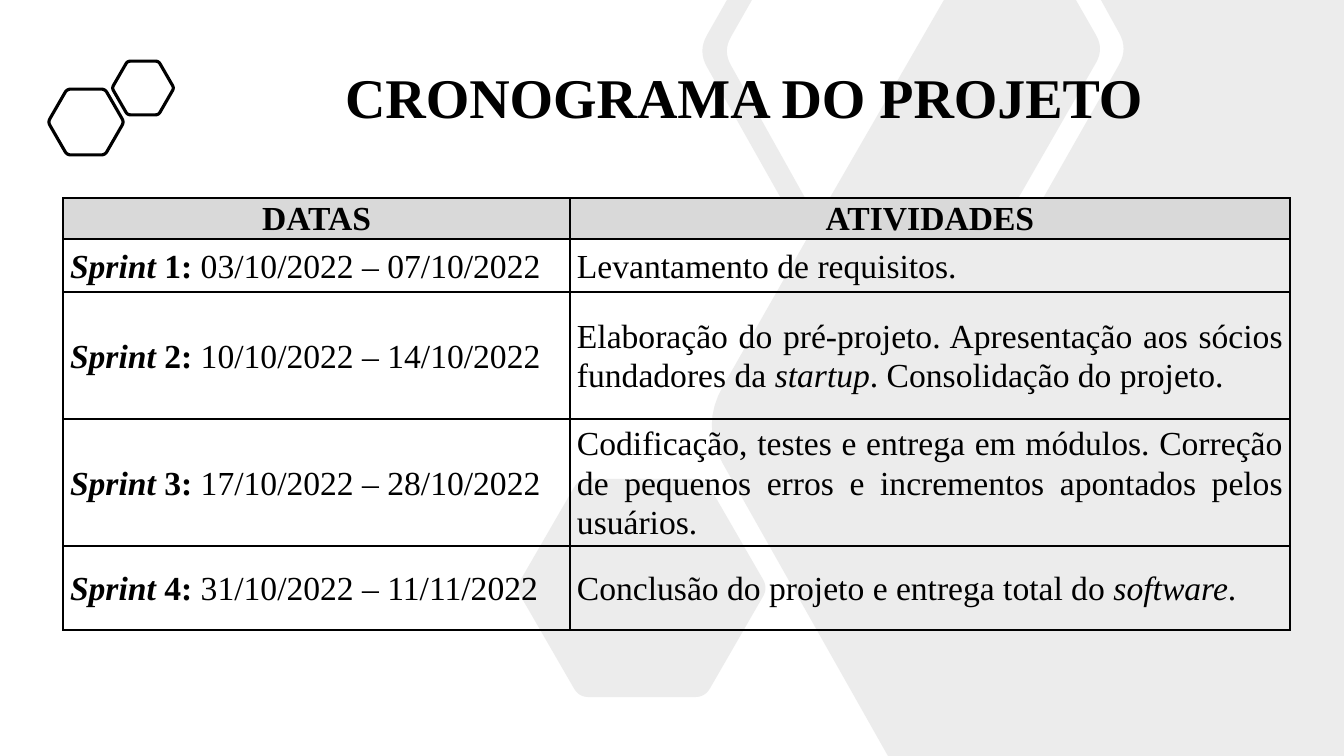
"""Build the project schedule slide with a hexagon backdrop and a sprint table."""
from math import cos, pi, sin

from lxml.etree import SubElement
from pptx import Presentation
from pptx.dml.color import RGBColor
from pptx.enum.text import MSO_ANCHOR, MSO_AUTO_SIZE, PP_ALIGN
from pptx.oxml.ns import qn
from pptx.util import Emu, Pt

BLACK = RGBColor(0, 0, 0)
GREY = RGBColor(0x80, 0x80, 0x80)
HEADER_GREY = RGBColor(0xD9, 0xD9, 0xD9)
FONT = "Times New Roman"
PX = 12192000 / 1344

TITLE = "CRONOGRAMA DO PROJETO"
TITLE_BOX = (192, 61, 1104, 75)
HEADERS = ("DATAS", "ATIVIDADES")
SPRINTS = [
    ("03/10/2022 – 07/10/2022", [("Levantamento de requisitos.", "")]),
    ("10/10/2022 – 14/10/2022", [
        ("Elaboração do pré-projeto. Apresentação aos sócios fundadores da ", ""),
        ("startup", "i"), (". Consolidação do projeto.", "")]),
    ("17/10/2022 – 28/10/2022", [
        ("Codificação, testes e entrega em módulos. Correção de pequenos erros "
         "e incrementos apontados pelos usuários.", "")]),
    ("31/10/2022 – 11/11/2022", [
        ("Conclusão do projeto e entrega total do ", ""),
        ("software", "i"), (".", "")]),
]
TABLE_ORIGIN = (63, 198)
COLUMN_WIDTHS = (507, 720)
ROW_HEIGHTS = (41, 53, 127, 127, 84)

# Each corner is x, y and the length cut off to round it.
INNER_CORNERS = [(944, 0, 0), (1076, 0, 0), (1104, 49, 16), (1007, 218, 16),
                 (834, 218, 0), (826, 217, 0), (820, 215, 0)]
OUTER_CORNERS = [(727, 0, 0), (752, 0, 0), (723, 51, 16), (809, 205, 0),
                 (814, 212, 0), (821, 216, 0), (810, 236, 0), (824, 239, 0),
                 (1020, 239, 18), (1128, 49, 18), (1101, 0, 0), (1344, 0, 0),
                 (1344, 756, 0), (888, 756, 0), (701, 425, 44), (808, 237, 0),
                 (796, 225, 0), (698, 51, 18)]
BACKDROP_HEXAGON = (642, 588, 126, 10)
OUTLINE_HEXAGONS = [(86, 122, 38, 4), (143, 88, 31, 3)]


def px(length):
    return Emu(round(length * PX))


def hexagon(center_x, center_y, radius, cut):
    return [(center_x + radius * cos(k * pi / 3), center_y + radius * sin(k * pi / 3), cut)
            for k in range(6)]


def rounded(corners, steps=8):
    points = []
    for index, (x, y, cut) in enumerate(corners):
        if not cut:
            points.append((x, y))
            continue
        ends = []
        for near_x, near_y, _ in (corners[index - 1], corners[(index + 1) % len(corners)]):
            share = cut / ((near_x - x) ** 2 + (near_y - y) ** 2) ** 0.5
            ends.append((x + share * (near_x - x), y + share * (near_y - y)))
        (start_x, start_y), (end_x, end_y) = ends
        for step in range(steps + 1):
            t = step / steps
            a, b, c = (1 - t) ** 2, 2 * t * (1 - t), t ** 2
            points.append((a * start_x + b * x + c * end_x, a * start_y + b * y + c * end_y))
    return [(px(x), px(y)) for x, y in points]


def add_outline(slide, contours):
    first, *others = [rounded(corners) for corners in contours]
    builder = slide.shapes.build_freeform(*first[0])
    builder.add_line_segments(first[1:], close=True)
    for points in others:
        builder.move_to(*points[0])
        builder.add_line_segments(points[1:], close=True)
    shape = builder.convert_to_shape()
    shape.shadow.inherit = False
    return shape


def style_run(run, size, bold=False, italic=False):
    run.font.name = FONT
    run.font.size = Pt(size)
    run.font.bold = bold
    run.font.italic = italic
    run.font.color.rgb = BLACK


def add_borders(cell):
    properties = cell._tc.get_or_add_tcPr()
    for index, side in enumerate(("lnL", "lnR", "lnT", "lnB")):
        line = SubElement(properties, qn(f"a:{side}"), w=str(Pt(1)))
        SubElement(SubElement(line, qn("a:solidFill")), qn("a:srgbClr"), val=str(BLACK))
        properties.insert(index, line)


def fill_cell(cell, runs, is_header):
    cell.margin_left = cell.margin_right = px(7)
    cell.margin_top = cell.margin_bottom = 0
    cell.vertical_anchor = MSO_ANCHOR.TOP if is_header else MSO_ANCHOR.MIDDLE
    if is_header:
        cell.fill.solid()
        cell.fill.fore_color.rgb = HEADER_GREY
    else:
        cell.fill.background()
    add_borders(cell)
    paragraph = cell.text_frame.paragraphs[0]
    paragraph.alignment = PP_ALIGN.CENTER if is_header else PP_ALIGN.JUSTIFY
    paragraph.line_spacing = 1.07
    paragraph.space_after = Pt(8)
    for text, style in runs:
        run = paragraph.add_run()
        run.text = text
        style_run(run, 24, "b" in style, "i" in style)


def add_backdrop(slide):
    backdrop = add_outline(slide, [hexagon(*BACKDROP_HEXAGON), INNER_CORNERS, OUTER_CORNERS])
    backdrop.fill.solid()
    backdrop.fill.fore_color.rgb = GREY
    color = backdrop._element.spPr.find(qn("a:solidFill"))[0]
    SubElement(color, qn("a:alpha"), val="15000")
    backdrop.line.fill.background()
    slide.shapes.title._element.addprevious(backdrop._element)


def add_title(slide):
    title = slide.shapes.title
    title.left, title.top, title.width, title.height = map(px, TITLE_BOX)
    frame = title.text_frame
    frame.text = TITLE
    frame.word_wrap = True
    frame.auto_size = MSO_AUTO_SIZE.NONE
    frame.vertical_anchor = MSO_ANCHOR.BOTTOM
    paragraph = frame.paragraphs[0]
    paragraph.alignment = PP_ALIGN.CENTER
    paragraph.line_spacing = 0.9
    paragraph.space_before = Pt(10)
    style_run(paragraph.runs[0], 40, bold=True)


def add_schedule(slide):
    rows = [[[(header, "b")] for header in HEADERS]]
    for number, (dates, activity) in enumerate(SPRINTS, 1):
        rows.append([[("Sprint", "bi"), (f" {number}: ", "b"), (dates, "")], activity])
    table = slide.shapes.add_table(
        len(rows), len(HEADERS), *map(px, TABLE_ORIGIN),
        px(sum(COLUMN_WIDTHS)), px(sum(ROW_HEIGHTS))).table
    table.first_row = table.horz_banding = False
    for column, width in zip(table.columns, COLUMN_WIDTHS):
        column.width = px(width)
    for index, (row, height) in enumerate(zip(table.rows, ROW_HEIGHTS)):
        row.height = px(height)
        for cell, runs in zip(row.cells, rows[index]):
            fill_cell(cell, runs, index == 0)


def main():
    presentation = Presentation()
    presentation.slide_width, presentation.slide_height = px(1344), px(756)
    slide = presentation.slides.add_slide(presentation.slide_layouts[5])
    add_backdrop(slide)
    add_title(slide)
    for place in OUTLINE_HEXAGONS:
        outline = add_outline(slide, [hexagon(*place)])
        outline.fill.background()
        outline.line.color.rgb = BLACK
        outline.line.width = Pt(2.25)
    add_schedule(slide)
    presentation.save("out.pptx")


if __name__ == "__main__":
    main()
